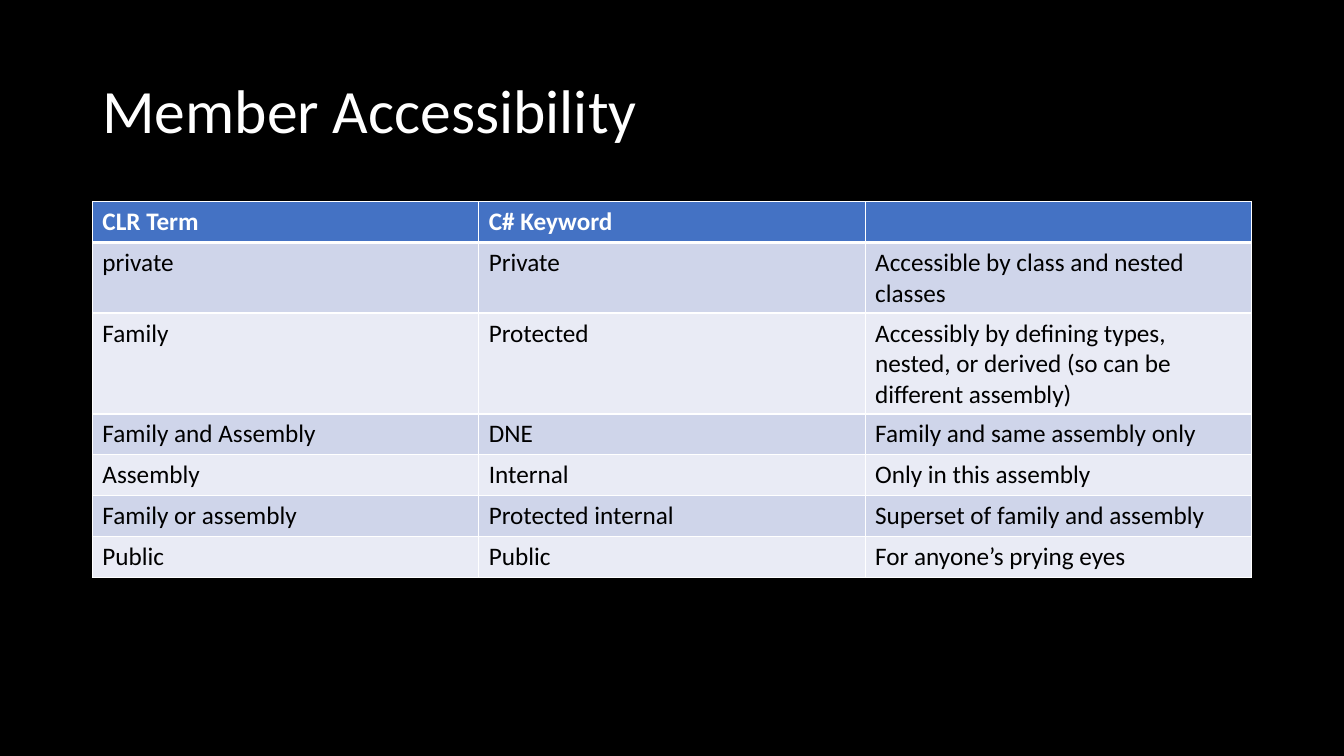
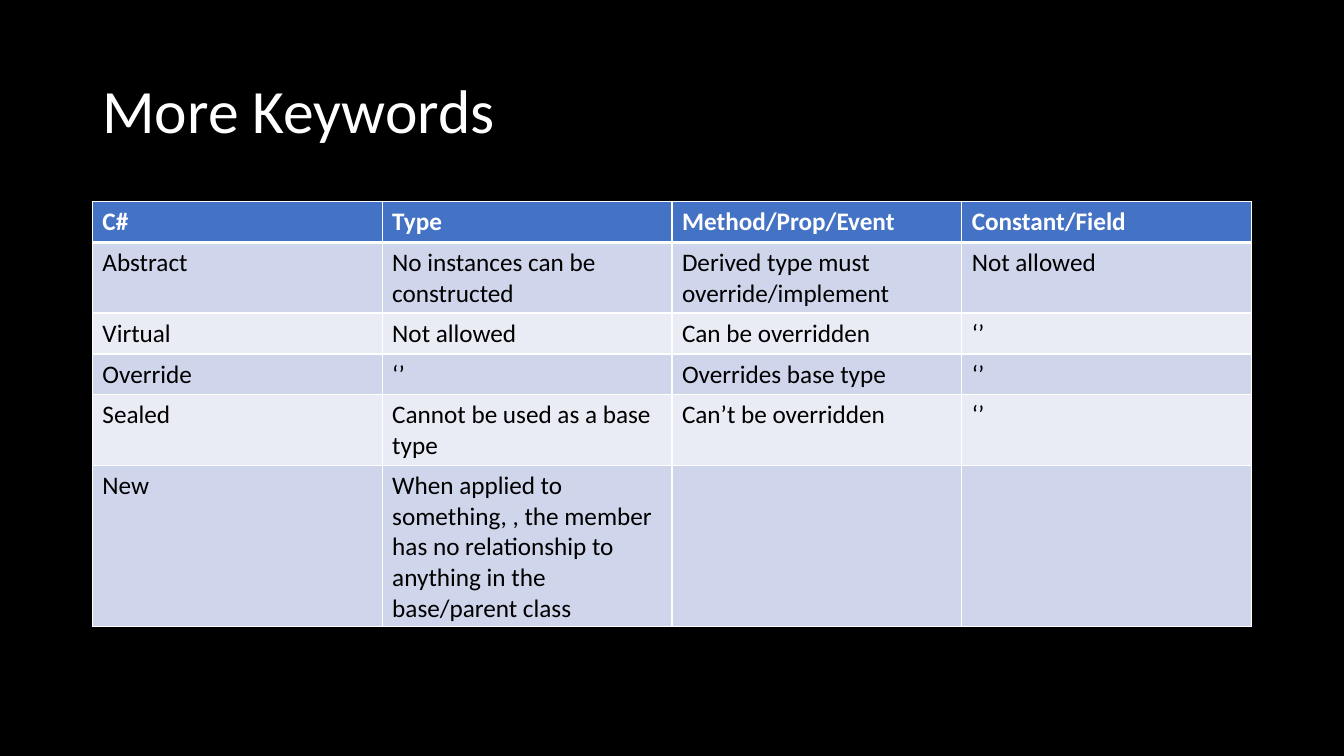
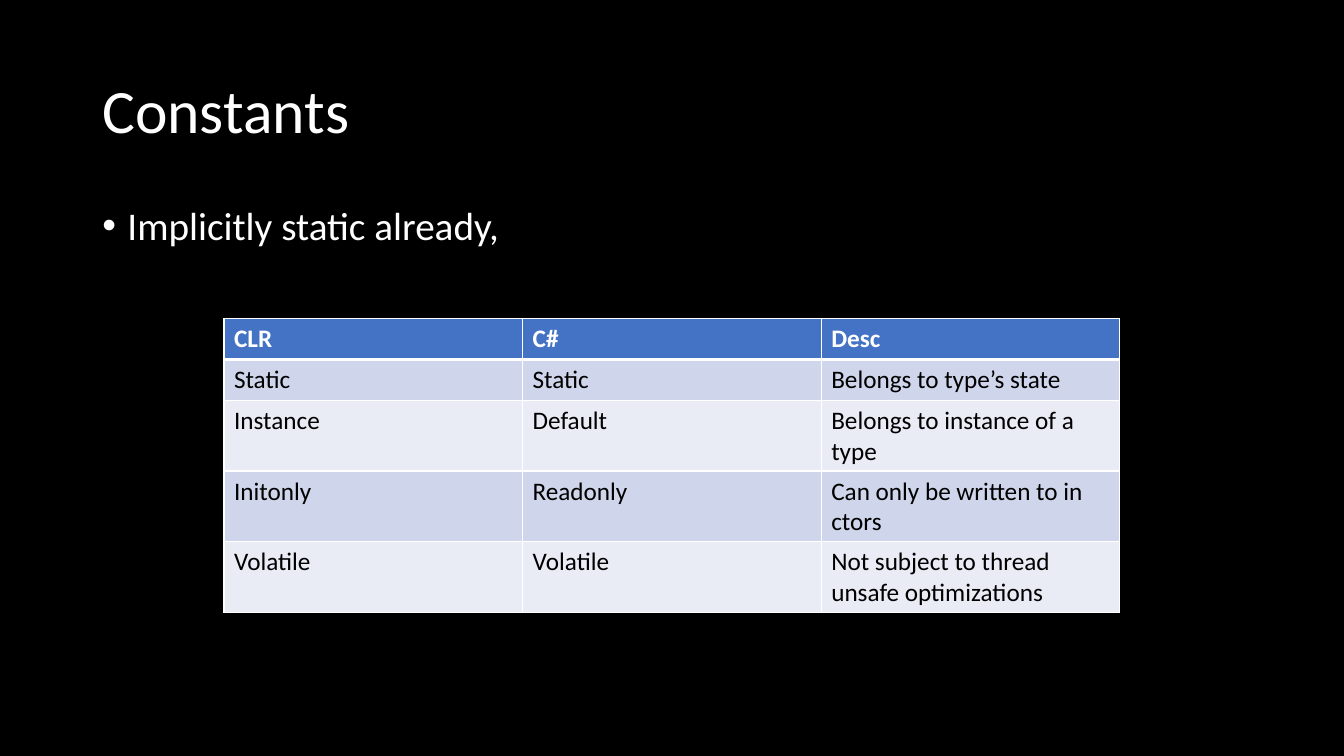
import pptx
import pptx.dml.color
import pptx.enum.text
import pptx.oxml.ns
import pptx.util
import lxml.etree

Pt = pptx.util.Pt


def color(code):
    return pptx.dml.color.RGBColor.from_string(code)


class Deck:
    """Hold the style and the current slide, and draw each kind of element."""

    font = "Calibri"
    back, light, dark = "000000", "FFFFFF", "000000"
    head, bands = "4472C4", ("CFD5EA", "E9EBF5")
    left, width = 66, 828
    row = 29.2

    def __init__(self):
        self.file = pptx.Presentation()
        self.file.slide_width, self.file.slide_height = Pt(960), Pt(540)

    def page(self, title):
        self.slide = self.file.slides.add_slide(self.file.slide_layouts[6])
        fill = self.slide.background.fill
        fill.solid()
        fill.fore_color.rgb = color(self.back)
        self.text(title, 28.8, 104.4, 44, pptx.enum.text.MSO_ANCHOR.MIDDLE)

    def style(self, para, size, code, bold=False):
        for run in para.runs:
            run.font.name = self.font
            run.font.size = Pt(size)
            run.font.bold = bold
            run.font.color.rgb = color(code)

    def text(self, words, top, height, size, anchor):
        box = self.slide.shapes.add_textbox(Pt(self.left), Pt(top), Pt(self.width), Pt(height))
        frame = box.text_frame
        frame.word_wrap = True
        frame.vertical_anchor = anchor
        frame.text = words
        para = frame.paragraphs[0]
        para.line_spacing = 0.9
        self.style(para, size, self.light)
        return para

    def bullet(self, words, top, height):
        para = self.text(words, top, height, 28, pptx.enum.text.MSO_ANCHOR.TOP)
        para.space_before = Pt(10)
        props = para.runs[0].font._element.getparent().getparent().get_or_add_pPr()
        props.set("marL", str(Pt(18)))
        props.set("indent", str(-Pt(18)))
        qn = pptx.oxml.ns.qn
        lxml.etree.SubElement(props, qn("a:buFont")).set("typeface", "Arial")
        lxml.etree.SubElement(props, qn("a:buChar")).set("char", "•")

    def border(self, cell, top, base):
        qn = pptx.oxml.ns.qn
        props = cell._tc.get_or_add_tcPr()
        for side, size in (("L", 1), ("R", 1), ("T", top), ("B", base)):
            line = lxml.etree.SubElement(props, qn("a:ln" + side))
            line.set("w", str(Pt(size)))
            fill = lxml.etree.SubElement(line, qn("a:solidFill"))
            lxml.etree.SubElement(fill, qn("a:srgbClr")).set("val", self.light)

    def cell(self, cell, words, index):
        first = index == 0
        self.border(cell, 3 if index == 1 else 1, 3 if first else 1)
        cell.fill.solid()
        cell.fill.fore_color.rgb = color(self.head if first else self.bands[(index - 1) % 2])
        cell.text_frame.text = words
        self.style(cell.text_frame.paragraphs[0], 18, self.light if first else self.dark, first)

    def table(self, rows, left=left, top=144, width=width):
        count = len(rows[0])
        grid = self.slide.shapes.add_table(
            len(rows), count, Pt(left), Pt(top), Pt(width), Pt(self.row * len(rows))).table
        for col in grid.columns:
            col.width = Pt(width / count)
        for index, words in enumerate(rows):
            grid.rows[index].height = Pt(self.row)
            for place, word in enumerate(words):
                self.cell(grid.cell(index, place), word, index)


def main():
    deck = Deck()

    deck.page("Member Accessibility")
    deck.table([
        ("CLR Term", "C# Keyword", ""),
        ("private", "Private", "Accessible by class and nested classes"),
        ("Family", "Protected",
         "Accessibly by defining types, nested, or derived (so can be different assembly)"),
        ("Family and Assembly", "DNE", "Family and same assembly only"),
        ("Assembly", "Internal", "Only in this assembly"),
        ("Family or assembly", "Protected internal", "Superset of family and assembly"),
        ("Public", "Public", "For anyone’s prying eyes"),
    ])

    deck.page("More Keywords")
    deck.table([
        ("C#", "Type", "Method/Prop/Event", "Constant/Field"),
        ("Abstract", "No instances can be constructed",
         "Derived type must override/implement", "Not allowed"),
        ("Virtual", "Not allowed", "Can be overridden", "‘’"),
        ("Override", "‘’", "Overrides base type", "‘’"),
        ("Sealed", "Cannot be used as a base type", "Can’t be overridden", "‘’"),
        ("New", "When applied to something, , the member has no relationship "
         "to anything in the base/parent class", "", ""),
    ])

    deck.page("Constants")
    deck.bullet("Implicitly static already,", 144, 342.7)
    deck.table([
        ("CLR", "C#", "Desc"),
        ("Static", "Static", "Belongs to type’s state"),
        ("Instance", "Default", "Belongs to instance of a type"),
        ("Initonly", "Readonly", "Can only be written to in ctors"),
        ("Volatile", "Volatile", "Not subject to thread unsafe optimizations"),
    ], left=160, top=227.6, width=640)

    deck.file.save("out.pptx")


if __name__ == "__main__":
    main()
